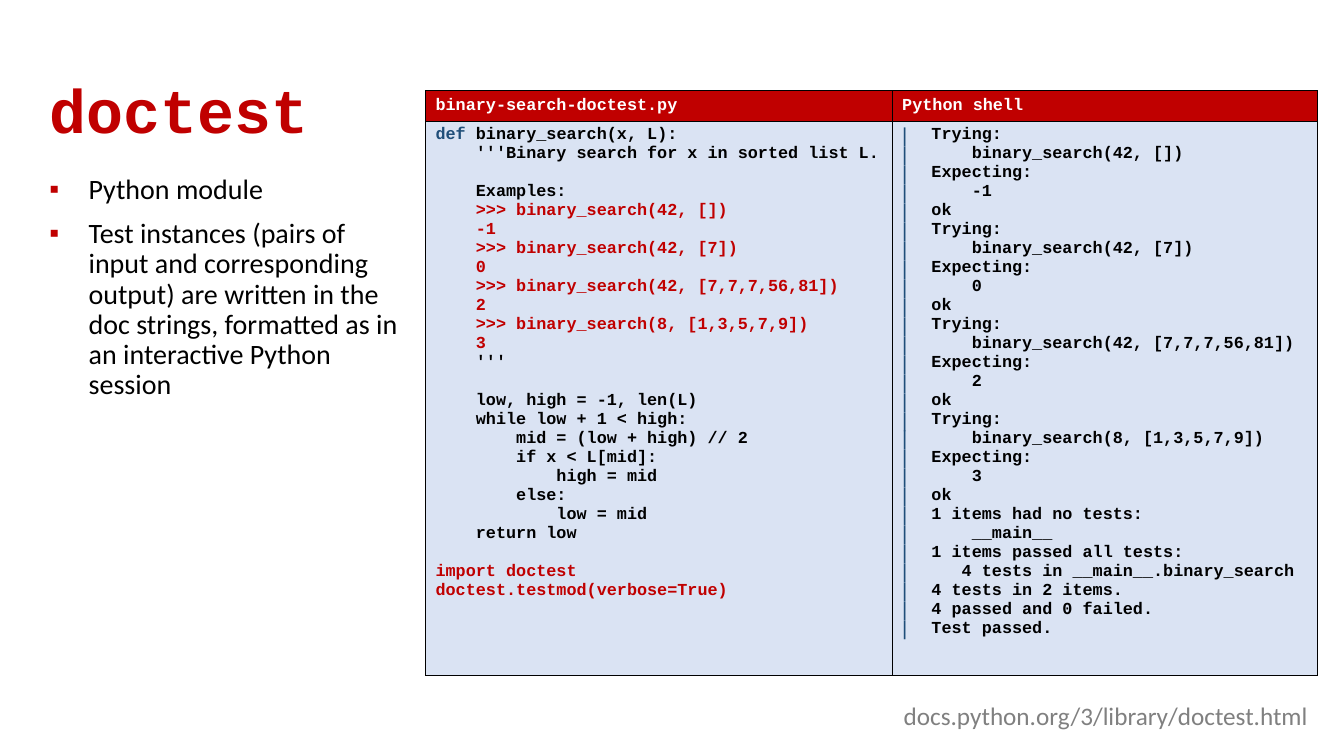
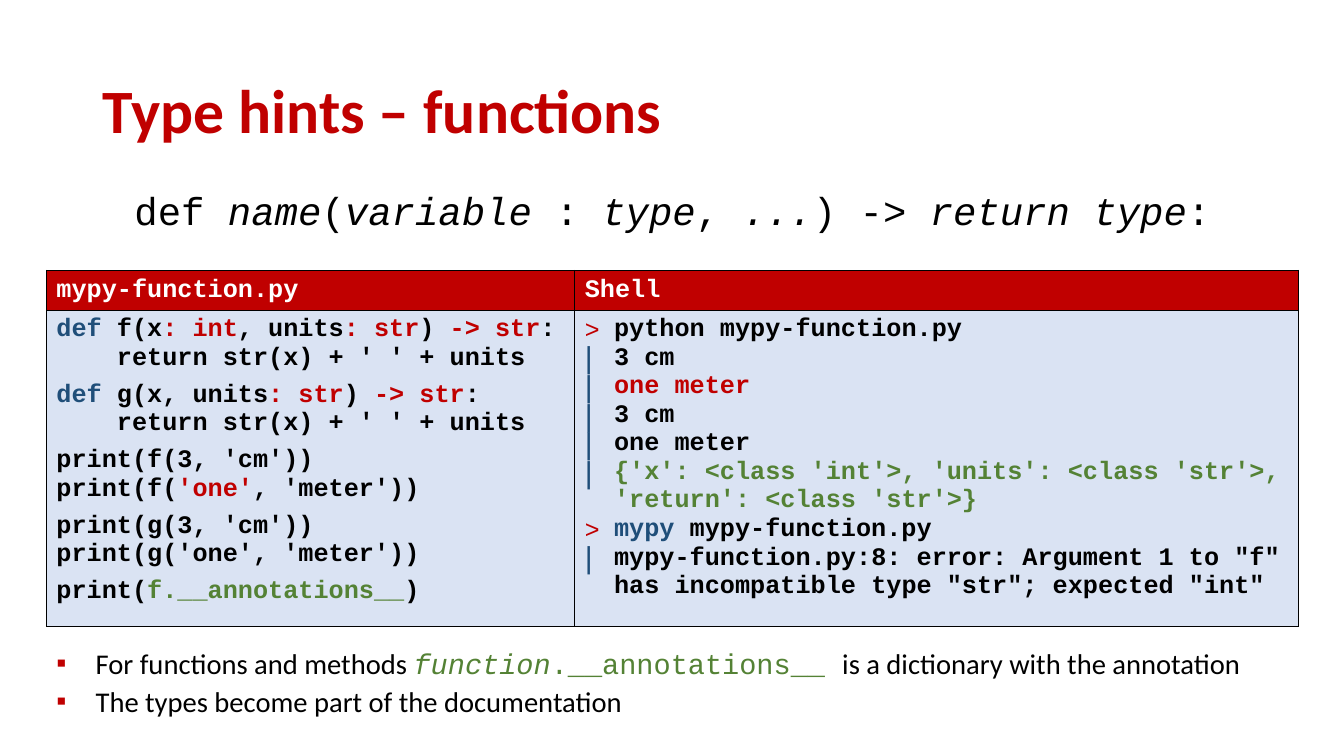
from collections import namedtuple
from dataclasses import dataclass
from functools import partial

from lxml import etree
from pptx import Presentation
from pptx import util as u
from pptx.dml.color import RGBColor
from pptx.enum import text
from pptx.oxml.ns import qn

WIDTH, HEIGHT = 13.33, 7.5
TITLE_ONLY = 5
RED = RGBColor(0xC0, 0x00, 0x00)
BLUE = RGBColor(0x1F, 0x4E, 0x79)
GREEN = RGBColor(0x54, 0x82, 0x35)
GRAY = RGBColor(0x80, 0x80, 0x80)
BLACK = RGBColor(0x00, 0x00, 0x00)
WHITE = RGBColor(0xFF, 0xFF, 0xFF)
PALE = RGBColor(0xDA, 0xE3, 0xF3)
SANS, MONO, BULLET_FONT = "Calibri", "Courier New", "Arial"
CODE_LEADING = 1.133

Box = namedtuple("Box", "left top width height")
Span = namedtuple("Span", "words look")
Bullet = namedtuple("Bullet", "char color percent indent")

SQUARE = Bullet("▪", RED, 100, 0.39)
PROMPT = Bullet(">", RED, 100, 0.29)
OUTPUT = Bullet("|", BLUE, 120, 0.29)


@dataclass
class Line:
    """One paragraph: a list of strings and Spans, with its spacing in points."""
    spans: list
    before: float = 0
    after: float = 0
    spacing: float = 1.0
    align: text.PP_ALIGN = text.PP_ALIGN.LEFT
    bullet: Bullet = None


def tinted(color, words):
    return Span(words, {"color": color})


red, blue, green = (partial(tinted, color) for color in (RED, BLUE, GREEN))


def slanted(words):
    return Span(words, {"italic": True})


def inches(box):
    return [u.Inches(length) for length in box]


def style_font(font, look):
    for name, value in look.items():
        if name == "color":
            font.color.rgb = value
        elif name == "size":
            font.size = u.Pt(value)
        else:
            setattr(font, name, value)


def add_bullet(para, bullet):
    props = para._p.get_or_add_pPr()
    indent = u.Inches(bullet.indent)
    props.set("marL", str(indent))
    props.set("indent", str(-indent))
    color = etree.SubElement(props, qn("a:buClr"))
    etree.SubElement(color, qn("a:srgbClr"), val=str(bullet.color))
    etree.SubElement(props, qn("a:buSzPct"), val=str(bullet.percent * 1000))
    etree.SubElement(props, qn("a:buFont"), typeface=BULLET_FONT)
    etree.SubElement(props, qn("a:buChar"), char=bullet.char)


def write(frame, lines, look):
    for index, line in enumerate(lines):
        para = frame.add_paragraph() if index else frame.paragraphs[0]
        para.alignment = line.align
        para.line_spacing = line.spacing
        para.space_before = u.Pt(line.before)
        para.space_after = u.Pt(line.after)
        if line.bullet:
            add_bullet(para, line.bullet)
        for part in line.spans:
            span = part if isinstance(part, Span) else Span(part, {})
            run = para.add_run()
            run.text = span.words
            style_font(run.font, {**look, **span.look})


def add_page(deck, title, box, font=SANS):
    page = deck.slides.add_slide(deck.slide_layouts[TITLE_ONLY])
    holder = page.shapes.title
    holder.left, holder.top, holder.width, holder.height = inches(box)
    frame = holder.text_frame
    frame.auto_size = text.MSO_AUTO_SIZE.NONE
    frame.vertical_anchor = text.MSO_ANCHOR.MIDDLE
    write(frame, [Line([title], spacing=0.9)],
          {"name": font, "size": 44, "bold": True, "color": RED})
    return page


def add_text(page, box, lines, size, font=SANS, color=BLACK):
    frame = page.shapes.add_textbox(*inches(box)).text_frame
    frame.word_wrap = True
    write(frame, lines, {"name": font, "size": size, "color": color})


def outline(cell):
    props = cell._tc.get_or_add_tcPr()
    for side in ("lnL", "lnR", "lnT", "lnB"):
        edge = etree.SubElement(props, qn(f"a:{side}"), w=str(u.Pt(0.5)))
        fill = etree.SubElement(edge, qn("a:solidFill"))
        etree.SubElement(fill, qn("a:srgbClr"), val=str(BLACK))


def add_code_table(page, box, split, header, headings, listings, size):
    """Two listings under headings; split is the first column's share."""
    table = page.shapes.add_table(2, 2, *inches(box)).table
    table.horz_banding = False
    for column, share in zip(table.columns, (split, 1 - split)):
        column.width = u.Inches(box.width * share)
    for row, height in zip(table.rows, (header, box.height - header)):
        row.height = u.Inches(height)
    top_row = [[Line([heading])] for heading in headings]
    styles = ((top_row, RED, WHITE, text.MSO_ANCHOR.MIDDLE),
              (listings, PALE, BLACK, text.MSO_ANCHOR.TOP))
    for row, (contents, fill, color, anchor) in enumerate(styles):
        for column, lines in enumerate(contents):
            cell = table.cell(row, column)
            outline(cell)
            cell.fill.solid()
            cell.fill.fore_color.rgb = fill
            cell.vertical_anchor = anchor
            write(cell.text_frame, lines,
                  {"name": MONO, "size": size, "bold": True, "color": color})


SEARCH_HEAD = """    '''Binary search for x in sorted list L.

    Examples:"""
SEARCH_EXAMPLES = """    >>> binary_search(42, [])
    -1
    >>> binary_search(42, [7])
    0
    >>> binary_search(42, [7,7,7,56,81])
    2
    >>> binary_search(8, [1,3,5,7,9])
    3"""
SEARCH_BODY = """    '''

    low, high = -1, len(L)
    while low + 1 < high:
        mid = (low + high) // 2
        if x < L[mid]:
            high = mid
        else:
            low = mid
    return low"""
SEARCH_TEST = """
import doctest
doctest.testmod(verbose=True)"""
TRIALS = (("[]", -1), ("[7]", 0), ("[7,7,7,56,81]", 2), ("[1,3,5,7,9]", 3))
SUMMARY = """1 items had no tests:
    __main__
1 items passed all tests:
   4 tests in __main__.binary_search
4 tests in 2 items.
4 passed and 0 failed.
Test passed."""


def code_lines(source, size, color=BLACK):
    """Split source into lines; a blank one becomes space before the next."""
    lines, gap = [], 0
    for row in source.split("\n"):
        if row:
            lines.append(Line([tinted(color, row)], before=gap))
        gap = 0 if row else size * CODE_LEADING
    return lines


def search_listing(size):
    lines = [Line([blue("def "), "binary_search(x, L):"])]
    for source, color in ((SEARCH_HEAD, BLACK), (SEARCH_EXAMPLES, RED),
                          (SEARCH_BODY, BLACK), (SEARCH_TEST, RED)):
        lines += code_lines(source, size, color)
    return lines


def search_output():
    rows = []
    for values, result in TRIALS:
        target = 8 if result == 3 else 42
        rows += ["Trying:", f"    binary_search({target}, {values})",
                 "Expecting:", f"    {result}", "ok"]
    return [Line([row], bullet=OUTPUT) for row in rows + SUMMARY.split("\n")]


def build_doctest(deck):
    page = add_page(deck, "doctest", Box(0.39, 0.4, 3.25, 1.45), MONO)
    points = ("Python module",
              "Test instances (pairs of input and corresponding output) are "
              "written in the doc strings, formatted as in an interactive "
              "Python session")
    add_text(page, Box(0.39, 1.69, 3.69, 4.76),
             [Line([point], before=10 * index, spacing=0.9, bullet=SQUARE)
              for index, point in enumerate(points)], 20)
    size = 12
    add_code_table(page, Box(4.22, 0.9, 8.85, 5.76), 0.523, 0.29,
                   ("binary-search-doctest.py", "Python shell"),
                   (search_listing(size), search_output()), size)
    add_text(page, Box(8.57, 6.9, 4.5, 0.4),
             [Line(["docs.python.org/3/library/doctest.html"],
                   align=text.PP_ALIGN.RIGHT)], 18, color=GRAY)


def hints_listing():
    body = "    return str(x) + ' ' + units"
    hint, result = red(": str"), red("-> str")
    return [
        Line([blue("def"), " f(x", red(": int"), ", units", hint, ") ",
              result, ":"]),
        Line([body], after=6),
        Line([blue("def"), " g(x, units", hint, ") ", result, ":"]),
        Line([body], after=6),
        Line(["print(f(3, 'cm'))"]),
        Line(["print(f(", red("'one'"), ", 'meter'))"], after=6),
        Line(["print(g(3, 'cm'))"]),
        Line(["print(g('one', 'meter'))"], after=6),
        Line(["print(", green("f.__annotations__"), ")"]),
    ]


def hints_output():
    rows = (
        (PROMPT, ["python mypy-function.py"]),
        (OUTPUT, ["3 cm"]),
        (OUTPUT, [red("one meter")]),
        (OUTPUT, ["3 cm"]),
        (OUTPUT, ["one meter"]),
        (OUTPUT, [green("{'x': <class 'int'>, 'units': <class 'str'>, "
                        "'return': <class 'str'>}")]),
        (PROMPT, [blue("mypy"), " mypy-function.py"]),
        (OUTPUT, ['mypy-function.py:8: error: Argument 1 to "f" has '
                  'incompatible type "str"; expected "int"']),
    )
    return [Line(spans, bullet=bullet) for bullet, spans in rows]


def build_type_hints(deck):
    page = add_page(deck, "Type hints – functions", Box(0.92, 0.4, 11.5, 1.45))
    left, width = 0.46, 12.42
    signature = ["def", slanted(" name"), "(", slanted("variable"), " : ",
                 slanted("type"), ",", slanted(" ..."), ") ->",
                 slanted(" return type"), ":"]
    add_text(page, Box(left, 1.8, width, 0.55),
             [Line(signature, align=text.PP_ALIGN.CENTER)], 27.8, MONO)
    add_code_table(page, Box(left, 2.68, width, 3.37), 0.422, 0.39,
                   ("mypy-function.py", "Shell"),
                   (hints_listing(), hints_output()), 18)
    code = {"name": MONO, "color": GREEN}
    points = (["For functions and methods ",
               Span("function", {**code, "italic": True}),
               Span(".__annotations__ ", code),
               "is a dictionary with the annotation"],
              ["The types become part of the documentation"])
    add_text(page, Box(left, 6.36, width, 0.9),
             [Line(spans, before=2.5 * index, bullet=SQUARE)
              for index, spans in enumerate(points)], 20.4)


def main():
    deck = Presentation()
    deck.slide_width, deck.slide_height = u.Inches(WIDTH), u.Inches(HEIGHT)
    build_doctest(deck)
    build_type_hints(deck)
    deck.save("out.pptx")


if __name__ == "__main__":
    main()
